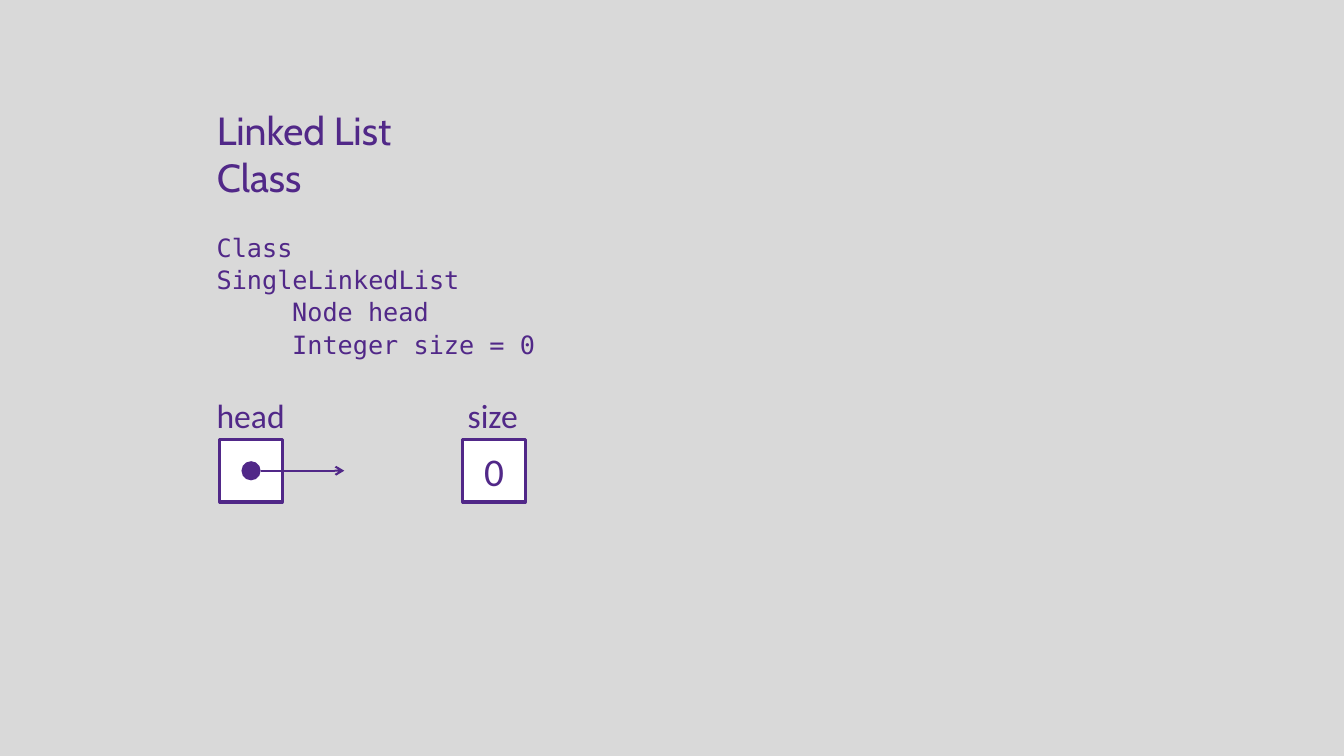
import dataclasses

import pptx
import pptx.dml.color
import pptx.enum.shapes
import pptx.enum.text
import pptx.oxml
import pptx.oxml.ns
import pptx.util

Inches = pptx.util.Inches
Pt = pptx.util.Pt
RGB = pptx.dml.color.RGBColor
Shape = pptx.enum.shapes.MSO_SHAPE
Align = pptx.enum.text.PP_ALIGN
Anchor = pptx.enum.text.MSO_ANCHOR
Fit = pptx.enum.text.MSO_AUTO_SIZE


@dataclasses.dataclass(frozen=True)
class Theme:
    ink: RGB = RGB(0x51, 0x28, 0x88)
    paper: RGB = RGB(0xD9, 0xD9, 0xD9)
    white: RGB = RGB(0xFF, 0xFF, 0xFF)
    title: tuple = ("Cabin", 28)
    code: tuple = ("DejaVu Sans Mono", 18)
    label: tuple = ("Calibri", 24)
    value: tuple = ("Calibri", 28)


THEME = Theme()
CELL = 0.62
DOT = 0.19


def apply(item, values):
    for name, value in values.items():
        setattr(item, name, value)


def place(shape, box):
    names = ("left", "top", "width", "height")
    apply(shape, dict(zip(names, map(Inches, box))))


def write(shape, lines, style, align=Align.LEFT, anchor=Anchor.TOP, wrap=True):
    frame = shape.text_frame
    frame.text = "\n".join(lines)
    apply(frame, {"auto_size": Fit.NONE, "word_wrap": wrap,
                  "vertical_anchor": anchor})
    face, size = style
    for para in frame.paragraphs:
        para.alignment = align
        for run in para.runs:
            apply(run.font, {"name": face, "size": Pt(size)})
            run.font.color.rgb = THEME.ink
    return frame.paragraphs


def add_text(slide, box, lines, style, **look):
    shape = slide.shapes.add_textbox(*map(Inches, box))
    return write(shape, lines, style, **look)


def add_solid(slide, kind, box, fill, border=0):
    shape = slide.shapes.add_shape(kind, *map(Inches, box))
    shape.shadow.inherit = False
    shape.fill.solid()
    shape.fill.fore_color.rgb = fill
    if border:
        shape.line.color.rgb = THEME.ink
        shape.line.width = Pt(border)
    else:
        shape.line.fill.background()
    return shape


def add_title(slide, box):
    title = slide.shapes.title
    place(title, box)
    write(title, ["Linked List Class"], THEME.title)


def add_code(slide, box):
    lines = ["Class SingleLinkedList", "Node head", "Integer size = 0"]
    paras = add_text(slide, box, lines, THEME.code)
    for para, indent in zip(paras, (0.49, 1.24, 1.24)):
        para.line_spacing = 1.07
        props = para._p.get_or_add_pPr()
        props.set("marL", str(Inches(indent)))
        props.set("indent", "0")
    paras[-1].space_after = Pt(12)


def add_field(slide, box, name, shift):
    left, top, width, height = box
    add_text(slide, box, [name], THEME.label, wrap=False)
    cell = (left + shift, top + 0.49, CELL, CELL)
    return cell, add_solid(slide, Shape.RECTANGLE, cell, THEME.white, 2.25)


def add_head(slide, box):
    (left, top, width, height), cell = add_field(slide, box, "head", 0.13)
    inset = (CELL - DOT) / 2
    dot = (left + inset, top + inset, DOT, DOT)
    add_solid(slide, Shape.OVAL, dot, THEME.ink)
    start, mid = left + inset + DOT, top + CELL / 2
    arrow = slide.shapes.add_connector(
        pptx.enum.shapes.MSO_CONNECTOR.STRAIGHT,
        *map(Inches, (start, mid, start + 0.83, mid)))
    arrow.line.color.rgb = THEME.ink
    arrow.line.width = Pt(1.5)
    line = arrow.line._get_or_add_ln()
    space = pptx.oxml.ns.nsdecls("a")
    line.append(pptx.oxml.parse_xml(f'<a:tailEnd {space} type="arrow"/>'))
    arrow._element.spPr.append(pptx.oxml.parse_xml(f"<a:effectLst {space}/>"))


def add_size(slide, box):
    area, cell = add_field(slide, box, "size", 0.05)
    write(cell, ["0"], THEME.value, align=Align.CENTER, anchor=Anchor.MIDDLE)


def main():
    deck = pptx.Presentation()
    apply(deck, {"slide_width": Inches(13.33), "slide_height": Inches(7.5)})
    slide = deck.slides.add_slide(deck.slide_layouts[5])
    slide.background.fill.solid()
    slide.background.fill.fore_color.rgb = THEME.paper
    add_title(slide, (2.05, 1, 2.7, 0.57))
    add_code(slide, (1.56, 2.23, 3.93, 1.06))
    add_head(slide, (2.05, 3.87, 0.89, 0.5))
    add_size(slide, (4.54, 3.87, 0.7, 0.5))
    deck.save("out.pptx")


if __name__ == "__main__":
    main()
